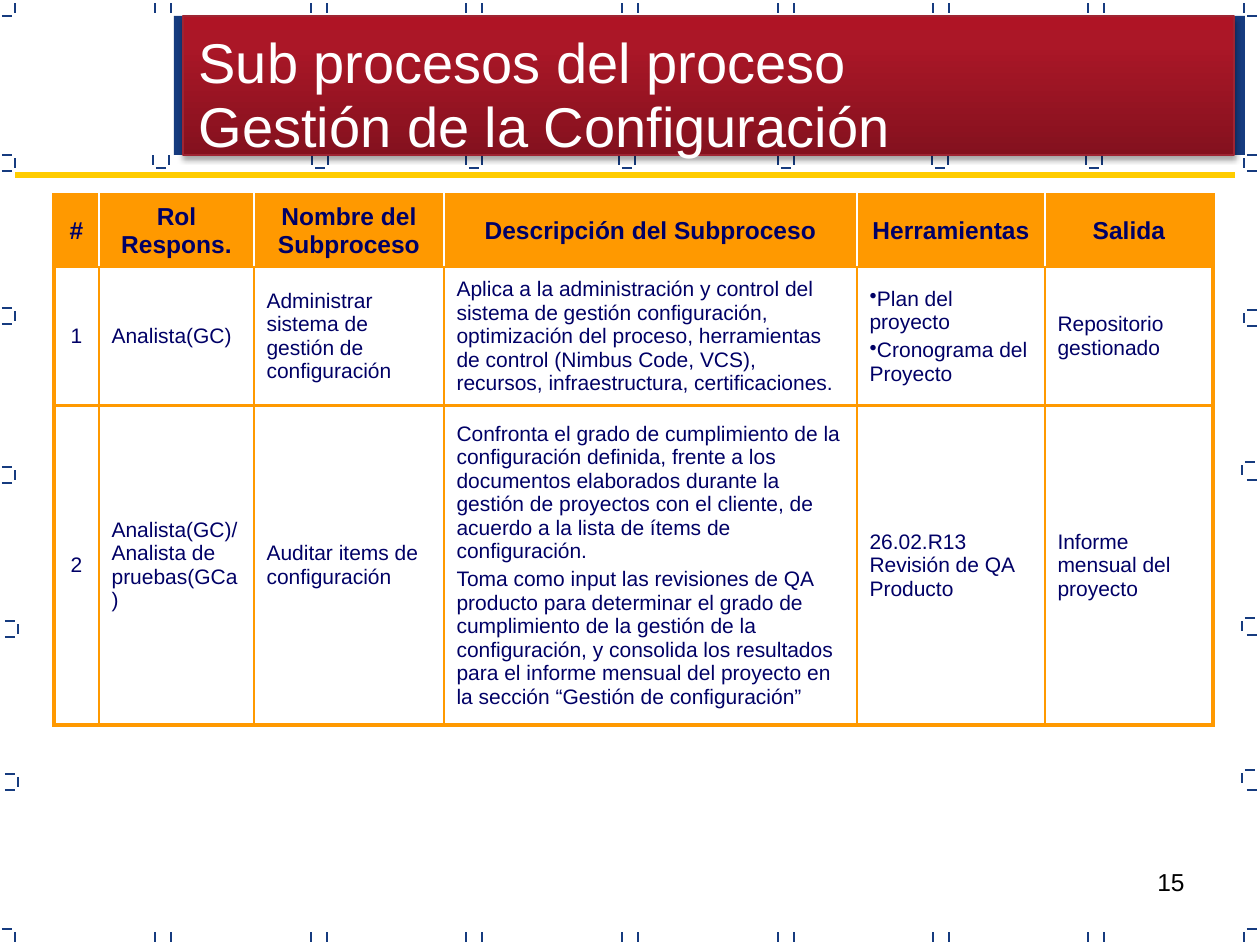
from copy import deepcopy
from dataclasses import dataclass

from lxml.etree import SubElement
from pptx import Presentation
from pptx.dml.color import RGBColor
from pptx.enum.shapes import MSO_CONNECTOR, MSO_SHAPE
from pptx.enum.text import MSO_ANCHOR, MSO_AUTO_SIZE, PP_ALIGN
from pptx.oxml.ns import qn
from pptx.util import Pt

EMU_PER_PX = 914400 / 126
TICK_HALF = 5
SQUARE_HALF = 8


@dataclass(frozen=True)
class Theme:
    font: str = "Arial"
    blue: str = "163B7F"
    yellow: str = "FFCC00"
    orange: str = "FF9900"
    navy: str = "000066"
    white: str = "FFFFFF"
    black: str = "000000"
    banner_edge: str = "9E2533"
    banner_stops: tuple = ((0, "84111E"), (0.8, "AB1727"), (1, "AF1425"))
    title_size: int = 32
    header_size: int = 14
    body_size: int = 12
    thin: float = 0.75
    divider: float = 1
    inner: float = 1.5
    outer: float = 2.25


@dataclass(frozen=True)
class Mark:
    """Small open square; sides names the edges drawn, out of l, r, t, b."""
    x: int
    y: int
    sides: str


@dataclass(frozen=True)
class Cell:
    paragraphs: tuple
    centred: bool = False
    bulleted: bool = False


THEME = Theme()
EDGE_COLUMNS = (163, 319, 474, 630, 786, 941, 1096)
BANNER_COLUMNS = (161, 320, 474, 627, 786, 940, 1094)
MARKS = (
    [Mark(x, y, "lr") for y in (8, 937) for x in EDGE_COLUMNS]
    + [Mark(x, 160, "lrb") for x in BANNER_COLUMNS]
    + [Mark(7, 8, "rb"), Mark(7, 937, "rt"), Mark(1252, 8, "lb"), Mark(1252, 937, "lt")]
    + [Mark(7, y, "rtb") for y in (163, 316, 475)]
    + [Mark(10, y, "rtb") for y in (629, 782)]
    + [Mark(1252, y, "ltb") for y in (163, 318)]
    + [Mark(1250, y, "lt") for y in (470, 626, 778)]
    + [Mark(1252, y, "b") for y in (472, 627, 782)]
)

TITLE = ("Sub procesos del proceso", "Gestión de la Configuración")
COLUMN_WIDTHS = (45, 155, 190, 413, 188, 168)
ROW_HEIGHTS = (72, 138, 299)
HEADERS = ("#", "Rol Respons.", "Nombre del Subproceso",
           "Descripción del Subproceso", "Herramientas", "Salida")
ROWS = (
    tuple(Cell((header,), centred=True) for header in HEADERS),
    (
        Cell(("1",), centred=True),
        Cell(("Analista(GC)",)),
        Cell(("Administrar sistema de gestión de configuración",)),
        Cell(("Aplica a la administración y control del sistema de gestión "
              "configuración, optimización del proceso, herramientas de control "
              "(Nimbus Code, VCS), recursos, infraestructura, certificaciones.",)),
        Cell(("Plan del proyecto", "Cronograma del Proyecto"), bulleted=True),
        Cell(("Repositorio gestionado",)),
    ),
    (
        Cell(("2",), centred=True),
        Cell(("Analista(GC)/ Analista de pruebas(GCa)",)),
        Cell(("Auditar items de configuración",)),
        Cell(("Confronta el grado de cumplimiento de la configuración definida, "
              "frente a los documentos elaborados durante la gestión de proyectos "
              "con el cliente, de acuerdo a la lista de ítems de configuración.",
              "Toma como input las revisiones de QA producto para determinar el "
              "grado de cumplimiento de la gestión de la configuración, y consolida "
              "los resultados para el informe mensual del proyecto en la sección "
              "“Gestión de configuración”")),
        Cell(("26.02.R13 Revisión de QA Producto",)),
        Cell(("Informe mensual del proyecto",)),
    ),
)


def px(length: int) -> int:
    return round(length * EMU_PER_PX)


def box(left: int, top: int, width: int, height: int) -> tuple:
    return px(left), px(top), px(width), px(height)


def rgb(color: str) -> RGBColor:
    return RGBColor.from_string(color)


def add_run(paragraph, text: str, size: int, color: str, bold: bool = False) -> None:
    run = paragraph.add_run()
    run.text = text
    run.font.name = THEME.font
    run.font.size = Pt(size)
    run.font.bold = bold
    run.font.color.rgb = rgb(color)


def paragraphs_for(frame, texts: tuple):
    """Yield each text with its own paragraph, using the existing first one."""
    for index, text in enumerate(texts):
        yield (frame.add_paragraph() if index else frame.paragraphs[0]), text


def draw_line(slide, start: tuple, end: tuple, color: str, width: float) -> None:
    line = slide.shapes.add_connector(
        MSO_CONNECTOR.STRAIGHT, *(px(value) for value in start + end))
    line.line.color.rgb = rgb(color)
    line.line.width = Pt(width)
    SubElement(line._element.spPr, qn("a:effectLst"))


def draw_mark(slide, mark: Mark) -> None:
    for side in mark.sides:
        offset = -SQUARE_HALF if side in "lt" else SQUARE_HALF
        if side in "lr":
            x = mark.x + offset
            start, end = (x, mark.y + TICK_HALF), (x, mark.y - TICK_HALF)
        else:
            y = mark.y + offset
            start, end = (mark.x - TICK_HALF, y), (mark.x + TICK_HALF, y)
        draw_line(slide, start, end, THEME.blue, THEME.thin)


def draw_banner(slide) -> None:
    banner = slide.shapes.add_shape(MSO_SHAPE.RECTANGLE, *box(183, 16, 1051, 139))
    banner.line.color.rgb = rgb(THEME.banner_edge)
    banner.line.width = Pt(THEME.thin)
    banner.fill.gradient()
    banner.fill.gradient_angle = 90
    properties = banner._element.spPr
    stop_list = properties.find(".//" + qn("a:gsLst"))
    stop_list.append(deepcopy(stop_list[0]))
    for stop, (position, color) in zip(banner.fill.gradient_stops, THEME.banner_stops):
        stop.position = position
        stop.color.rgb = rgb(color)
    effects = SubElement(properties, qn("a:effectLst"))
    shadow = SubElement(effects, qn("a:outerShdw"), blurRad=str(Pt(3.1)),
                        dist=str(Pt(1.8)), dir="5400000", rotWithShape="0")
    shade = SubElement(shadow, qn("a:srgbClr"), val=THEME.black)
    SubElement(shade, qn("a:alpha"), val="35000")


def place_title(slide) -> None:
    title = slide.shapes.title
    title.left, title.top, title.width, title.height = box(186, 26, 1048, 134)
    frame = title.text_frame
    frame.auto_size = MSO_AUTO_SIZE.NONE
    frame.vertical_anchor = MSO_ANCHOR.TOP
    for paragraph, text in paragraphs_for(frame, TITLE):
        paragraph.alignment = PP_ALIGN.LEFT
        paragraph.line_spacing = 0.95
        add_run(paragraph, text, THEME.title_size, THEME.white)
    slide.shapes._spTree.append(title._element)  # bring in front of the banner


def set_borders(cell, row: int, column: int) -> None:
    last_row, last_column = len(ROWS) - 1, len(HEADERS) - 1
    inner = (THEME.orange, THEME.inner)
    outer = (THEME.orange, THEME.outer)
    upright = inner if row else (THEME.white, THEME.divider)
    borders = {
        "a:lnL": upright if column else outer,
        "a:lnR": upright if column < last_column else outer,
        "a:lnT": inner if row else outer,
        "a:lnB": inner if row < last_row else outer,
    }
    properties = cell._tc.get_or_add_tcPr()
    for index, (tag, (color, width)) in enumerate(borders.items()):
        border = SubElement(properties, qn(tag), w=str(Pt(width)))
        fill = SubElement(border, qn("a:solidFill"))
        SubElement(fill, qn("a:srgbClr"), val=color)
        properties.insert(index, border)


def fill_cell(cell, content: Cell, is_header: bool) -> None:
    size = THEME.header_size if is_header else THEME.body_size
    cell.vertical_anchor = MSO_ANCHOR.MIDDLE
    if is_header:
        cell.fill.solid()
        cell.fill.fore_color.rgb = rgb(THEME.orange)
    else:
        cell.fill.background()
    for paragraph, text in paragraphs_for(cell.text_frame, content.paragraphs):
        paragraph.alignment = PP_ALIGN.CENTER if content.centred else PP_ALIGN.LEFT
        paragraph.space_before = Pt(size * 0.2)
        if content.bulleted:
            SubElement(paragraph._p.get_or_add_pPr(), qn("a:buChar"), char="•")
        add_run(paragraph, text, size, THEME.navy, bold=is_header)


def draw_table(slide) -> None:
    table = slide.shapes.add_table(
        len(ROWS), len(HEADERS),
        *box(54, 195, sum(COLUMN_WIDTHS), sum(ROW_HEIGHTS))).table
    table.first_row = table.horz_banding = False
    for column, width in zip(table.columns, COLUMN_WIDTHS):
        column.width = px(width)
    for row, (contents, height) in enumerate(zip(ROWS, ROW_HEIGHTS)):
        table.rows[row].height = px(height)
        for column, content in enumerate(contents):
            cell = table.cell(row, column)
            fill_cell(cell, content, is_header=row == 0)
            set_borders(cell, row, column)


def draw_page_number(slide) -> None:
    frame = slide.shapes.add_textbox(*box(903, 861, 294, 66)).text_frame
    frame.word_wrap = True
    frame.paragraphs[0].alignment = PP_ALIGN.RIGHT
    add_run(frame.paragraphs[0], "15", THEME.header_size, THEME.black)


def draw_backing(slide) -> None:
    backing = slide.shapes.add_shape(MSO_SHAPE.RECTANGLE, *box(174, 16, 1071, 139))
    backing.shadow.inherit = False
    backing.fill.solid()
    backing.fill.fore_color.rgb = rgb(THEME.blue)
    backing.line.fill.background()


def main() -> None:
    deck = Presentation()
    deck.slide_width, deck.slide_height = px(1260), px(945)
    slide = deck.slides.add_slide(deck.slide_layouts[5])
    draw_page_number(slide)
    draw_backing(slide)
    for mark in MARKS:
        draw_mark(slide, mark)
    draw_table(slide)
    draw_line(slide, (15, 175), (1235, 175), THEME.yellow, 3)
    draw_banner(slide)
    place_title(slide)
    deck.save("out.pptx")


if __name__ == "__main__":
    main()
